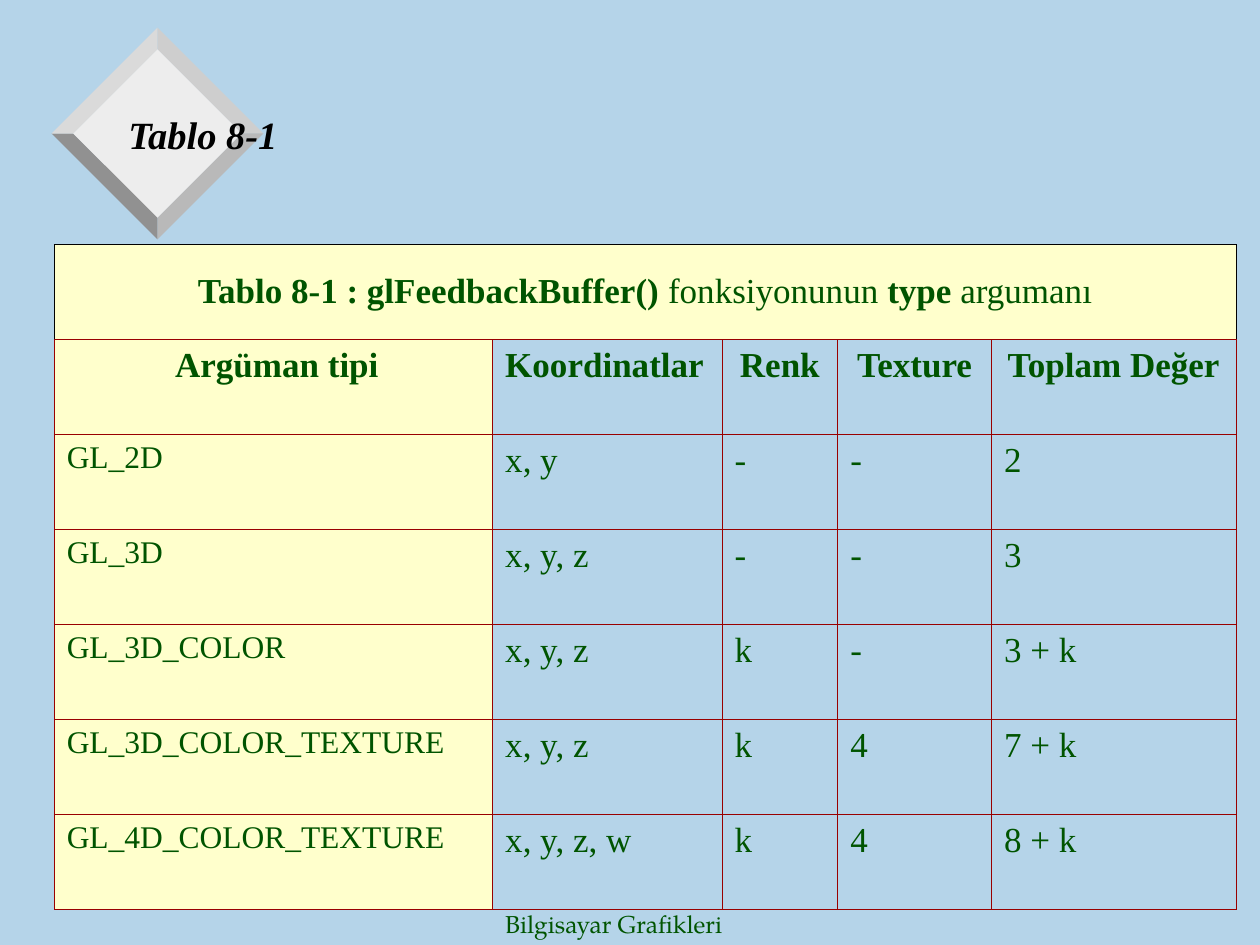
from lxml import etree
from pptx import Presentation
from pptx.dml.color import RGBColor
from pptx.enum import text
from pptx.oxml.ns import qn
from pptx.util import Inches, Pt

COLORS = {"background": "B5D4E9", "cream": "FFFFCC", "green": "005400",
          "black": "000000", "red": "990000", "face": "EDEDED"}
FACETS = ["CECECE", "B9B9B9", "919191", "DADADA"]
SERIF = "Times New Roman"

TITLE = "Tablo 8-1"
FOOTER = "Bilgisayar Grafikleri"
CAPTION = [("Tablo 8-1 : glFeedbackBuffer()", True), (" fonksiyonunun ", False),
           ("type", True), (" argumanı", False)]
HEADER = [" Argüman tipi", "Koordinatlar", "Renk", "Texture", "Toplam Değer"]
ROWS = [
    ["GL_2D", "x, y", "-", "-", "2"],
    ["GL_3D", "x, y, z", "-", "-", "3"],
    ["GL_3D_COLOR", "x, y, z", "k", "-", "3 + k"],
    ["GL_3D_COLOR_TEXTURE", "x, y, z", "k", "4", "7 + k"],
    ["GL_4D_COLOR_TEXTURE", "x, y, z, w", "k", "4", "8 + k"],
]
COLUMN_WIDTHS = [3.48, 1.82, 0.92, 1.22, 1.94]
TABLE_LEFT, TABLE_TOP, TABLE_HEIGHT = 0.43, 1.94, 5.28
CENTER_X, CENTER_Y, OUTER, INNER = 1.25, 1.06, 0.84, 0.67


def rgb(name):
    return RGBColor.from_string(COLORS.get(name, name))


def write(frame, spans, size=20, font=SERIF, color="green", italic=False,
          align=text.PP_ALIGN.LEFT):
    para = frame.paragraphs[0]
    para.alignment = align
    for words, bold in spans:
        span = para.add_run()
        span.text = words
        span.font.size = Pt(size)
        span.font.name = font
        span.font.bold = bold
        span.font.italic = italic
        span.font.color.rgb = rgb(color)


def add_text(page, place, spans, wrap=True, **style):
    box = page.shapes.add_textbox(*map(Inches, place))
    frame = box.text_frame
    frame.word_wrap = wrap
    frame.vertical_anchor = text.MSO_ANCHOR.MIDDLE
    write(frame, spans, **style)


def add_polygon(shapes, points, color):
    start, *rest = [(Inches(x), Inches(y)) for x, y in points]
    builder = shapes.build_freeform(*start)
    builder.add_line_segments(rest, close=True)
    polygon = builder.convert_to_shape()
    polygon.shadow.inherit = False
    polygon.fill.solid()
    polygon.fill.fore_color.rgb = rgb(color)
    polygon.line.fill.background()


def diamond_corners(radius):
    return [(CENTER_X + dx * radius, CENTER_Y + dy * radius)
            for dx, dy in [(0, -1), (1, 0), (0, 1), (-1, 0)]]


def add_diamond(page):
    shapes = page.shapes.add_group_shape().shapes
    outer, inner = diamond_corners(OUTER), diamond_corners(INNER)
    add_polygon(shapes, inner, "face")
    for i, color in enumerate(FACETS):
        j = (i + 1) % 4
        add_polygon(shapes, [inner[i], outer[i], outer[j], inner[j]], color)


def set_border(cell, side, color, width):
    line = etree.SubElement(cell._tc.get_or_add_tcPr(), qn(f"a:ln{side}"), w=str(Pt(width)))
    fill = etree.SubElement(line, qn("a:solidFill"))
    etree.SubElement(fill, qn("a:srgbClr"), val=COLORS[color])


def format_cell(cell, is_caption, filled):
    for side in "LRTB":
        if is_caption and side != "B":
            set_border(cell, side, "black", 0.34)
        else:
            set_border(cell, side, "red", 0.45)
    if filled:
        cell.fill.solid()
        cell.fill.fore_color.rgb = rgb("cream")
    else:
        cell.fill.background()


def add_feedback_table(page):
    body = [HEADER] + ROWS
    row_count, column_count = len(body) + 1, len(HEADER)
    table = page.shapes.add_table(
        row_count, column_count, Inches(TABLE_LEFT), Inches(TABLE_TOP),
        Inches(sum(COLUMN_WIDTHS)), Inches(TABLE_HEIGHT)).table
    table.first_row = table.horz_banding = False
    for column, width in zip(table.columns, COLUMN_WIDTHS):
        column.width = Inches(width)
    for row in table.rows:
        row.height = Inches(TABLE_HEIGHT / row_count)
    for r in range(row_count):
        for c in range(column_count):
            format_cell(table.cell(r, c), r == 0, r == 0 or c == 0)

    caption = table.cell(0, 0)
    caption.merge(table.cell(0, column_count - 1))
    caption.vertical_anchor = text.MSO_ANCHOR.MIDDLE
    write(caption.text_frame, CAPTION, align=text.PP_ALIGN.CENTER)
    for r, values in enumerate(body, 1):
        is_header = r == 1
        for c, value in enumerate(values):
            centered = is_header and c != 1
            write(table.cell(r, c).text_frame, [(value, is_header)],
                  size=18 if c == 0 and not is_header else 20,
                  align=text.PP_ALIGN.CENTER if centered else text.PP_ALIGN.LEFT)


def main():
    deck = Presentation()
    deck.slide_width, deck.slide_height = Inches(10), Inches(7.5)
    page = deck.slides.add_slide(deck.slide_layouts[6])
    page.background.fill.solid()
    page.background.fill.fore_color.rgb = rgb("background")
    add_diamond(page)
    add_text(page, (3.91, 7.17, 2.08, 0.33), [(FOOTER, False)], wrap=False,
             size=14, font="TeX Gyre Pagella")
    add_text(page, (0.92, 0.46, 8.5, 1.21), [(TITLE, True)], size=22,
             color="black", italic=True)
    add_feedback_table(page)
    deck.save("out.pptx")


if __name__ == "__main__":
    main()
